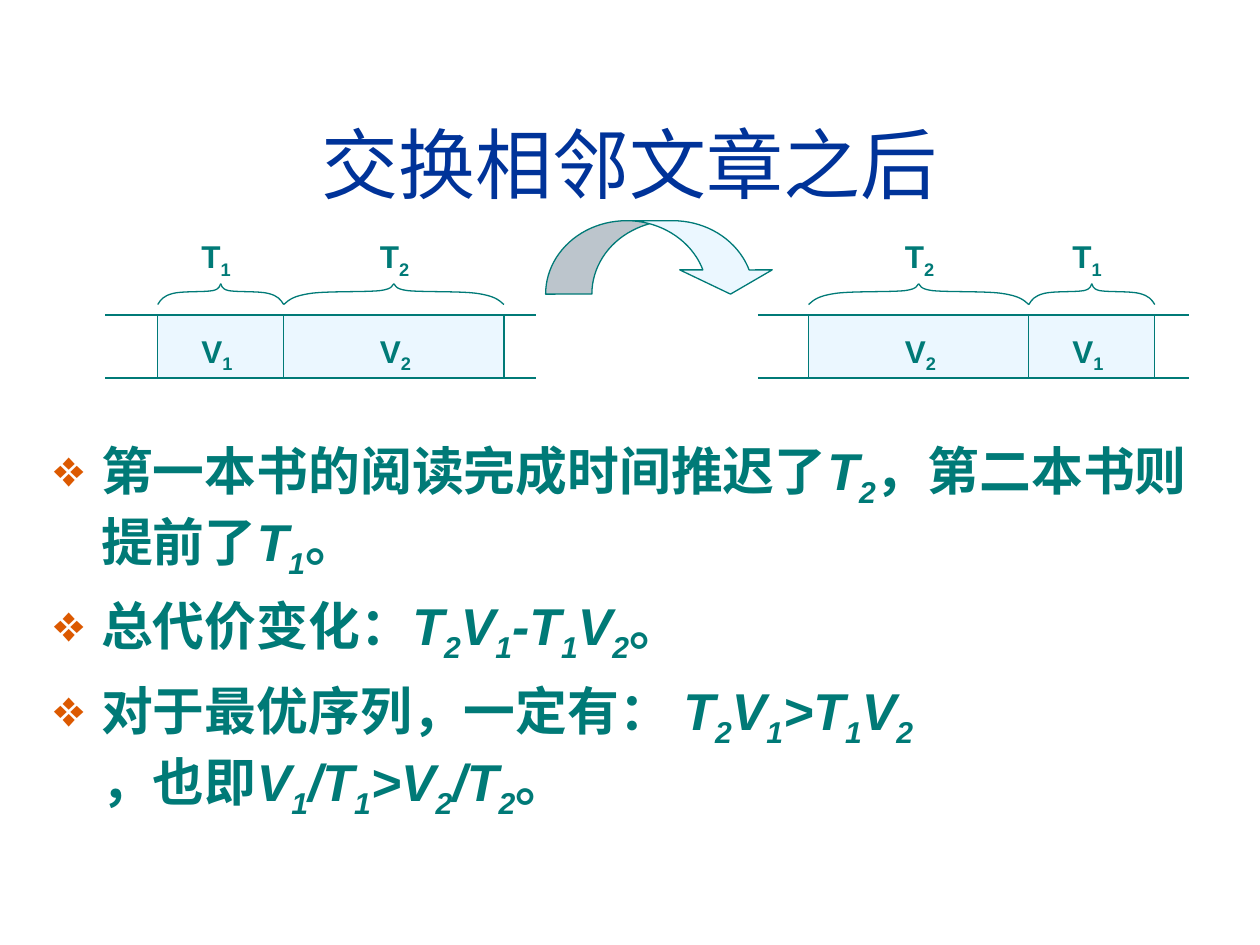
from dataclasses import dataclass

from lxml.etree import SubElement
from pptx import Presentation
from pptx.dml.color import RGBColor
from pptx.enum.shapes import MSO_CONNECTOR as Connector, MSO_SHAPE as Shape
from pptx.enum.text import MSO_ANCHOR as Anchor, PP_ALIGN as Align
from pptx.oxml.ns import qn
from pptx.util import Cm, Pt


@dataclass(frozen=True)
class Theme:
    font: str = "Arial"
    title: RGBColor = RGBColor(0x00, 0x33, 0x99)
    ink: RGBColor = RGBColor(0x00, 0x7A, 0x77)
    pale: RGBColor = RGBColor(0xEB, 0xF7, 0xFF)
    bullet: str = "DC5900"
    title_size: float = 44
    body_size: float = 29.6
    label_size: float = 18
    line_width: float = 0.75


theme = Theme()
prs = Presentation()
prs.slide_width, prs.slide_height = Cm(25.4), Cm(19.05)
slide = prs.slides.add_slide(prs.slide_layouts[6])
shapes = slide.shapes


def write_formula(paragraph, markup, size):
    for i, phrase in enumerate(markup.split("*")):
        for j, piece in enumerate(phrase.split("_")):
            if not piece:
                continue
            run = paragraph.add_run()
            run.text = piece
            font = run.font
            font.name, font.size, font.bold = theme.font, Pt(size), True
            font.italic = i % 2 == 1
            font.color.rgb = theme.ink
            if j % 2:
                run._r.get_or_add_rPr().set("baseline", "-25000")


def outline(shape, filled=True):
    shape.shadow.inherit = False
    shape.line.color.rgb = theme.ink
    shape.line.width = Pt(theme.line_width)
    if filled:
        shape.fill.solid()
        shape.fill.fore_color.rgb = theme.pale
    else:
        shape.fill.background()


heading = shapes.add_textbox(Cm(0.84), Cm(1.7), Cm(23.72), Cm(3.18)).text_frame
heading.word_wrap = True
heading.vertical_anchor = Anchor.MIDDLE
heading.text = "交换相邻文章之后"
heading.paragraphs[0].alignment = Align.CENTER
heading_font = heading.paragraphs[0].runs[0].font
heading_font.name, heading_font.size = theme.font, Pt(theme.title_size)
heading_font.color.rgb = theme.title

conclusions = [
    "第一本书的阅读完成时间推迟了*T_2_*，第二本书则提前了*T_1_*。",
    "总代价变化：*T_2_V_1_-T_1_V_2_*。",
    "对于最优序列，一定有： *T_2_V_1_>T_1_V_2_ *，也即*V_1_/T_1_>V_2_/T_2_*。",
]
body = shapes.add_textbox(Cm(0.84), Cm(8.72), Cm(23.72), Cm(8.23)).text_frame
body.word_wrap = True
for i, conclusion in enumerate(conclusions):
    paragraph = body.add_paragraph() if i else body.paragraphs[0]
    paragraph.space_before = Pt(8)
    props = paragraph._p.get_or_add_pPr()
    props.set("marL", str(Cm(0.95)))
    props.set("indent", str(-Cm(0.95)))
    SubElement(SubElement(props, qn("a:buClr")), qn("a:srgbClr"), val=theme.bullet)
    SubElement(props, qn("a:buSzPct"), val="100000")
    SubElement(props, qn("a:buChar"), char="❖")
    write_formula(paragraph, conclusion, theme.body_size)

swap = shapes.add_shape(Shape.CURVED_DOWN_ARROW, Cm(11), Cm(4.45), Cm(4.66), Cm(1.48))
swap.adjustments[0] = 0.63
swap.adjustments[1] = 1.26
swap.adjustments[2] = 0.33
outline(swap)

half_brace = [
    (0, 1),
    (0.05, 0.76), (0.09, 0.59), (0.24, 0.47),
    (0.38, 0.35), (0.75, 0.41), (0.88, 0.33),
    (1, 0.24), (0.98, 0.06), (1, 0),
]
row_top, row_height = 6.35, 1.27
brace_top, brace_height = 5.72, 0.42
book_widths = {1: 2.54, 2: 4.44}
label_offsets = {1: 0.63, 2: 1.69}
label_tops = {"V": 6.56, "T": 4.66}
sequences = [(2.12, 3.18, (1, 2)), (15.28, 16.3, (2, 1))]

for rail_left, book_left, order in sequences:
    for rail_y in (row_top, row_top + row_height):
        rail = shapes.add_connector(
            Connector.STRAIGHT, Cm(rail_left), Cm(rail_y), Cm(rail_left + 8.68), Cm(rail_y)
        )
        rail.line.color.rgb = theme.ink
        rail.line.width = Pt(theme.line_width)
        SubElement(rail._element.spPr, qn("a:effectLst"))

    for book in order:
        width = book_widths[book]
        cell = shapes.add_shape(
            Shape.RECTANGLE, Cm(book_left), Cm(row_top), Cm(width), Cm(row_height)
        )
        outline(cell)

        for edge, reach in ((book_left, width / 2), (book_left + width, -width / 2)):
            points = [
                (Cm(edge + x * reach), Cm(brace_top + y * brace_height)) for x, y in half_brace
            ]
            builder = shapes.build_freeform(*points[0])
            builder.add_line_segments(points[1:], close=False)
            brace = builder.convert_to_shape()
            outline(brace, filled=False)
            stroke = brace._element.spPr.find(".//" + qn("a:path"))
            segments = stroke.findall(qn("a:lnTo"))
            for first in range(0, len(segments), 3):
                curve = SubElement(stroke, qn("a:cubicBezTo"))
                for segment in segments[first:first + 3]:
                    curve.append(segment[0])
                    stroke.remove(segment)

        for letter, label_top in label_tops.items():
            label = shapes.add_textbox(
                Cm(book_left + label_offsets[book]), Cm(label_top), Cm(1.47), Cm(1.11)
            ).text_frame
            label.word_wrap = True
            write_formula(label.paragraphs[0], f"{letter}_{book}_", theme.label_size)
        book_left += width

prs.save("out.pptx")
